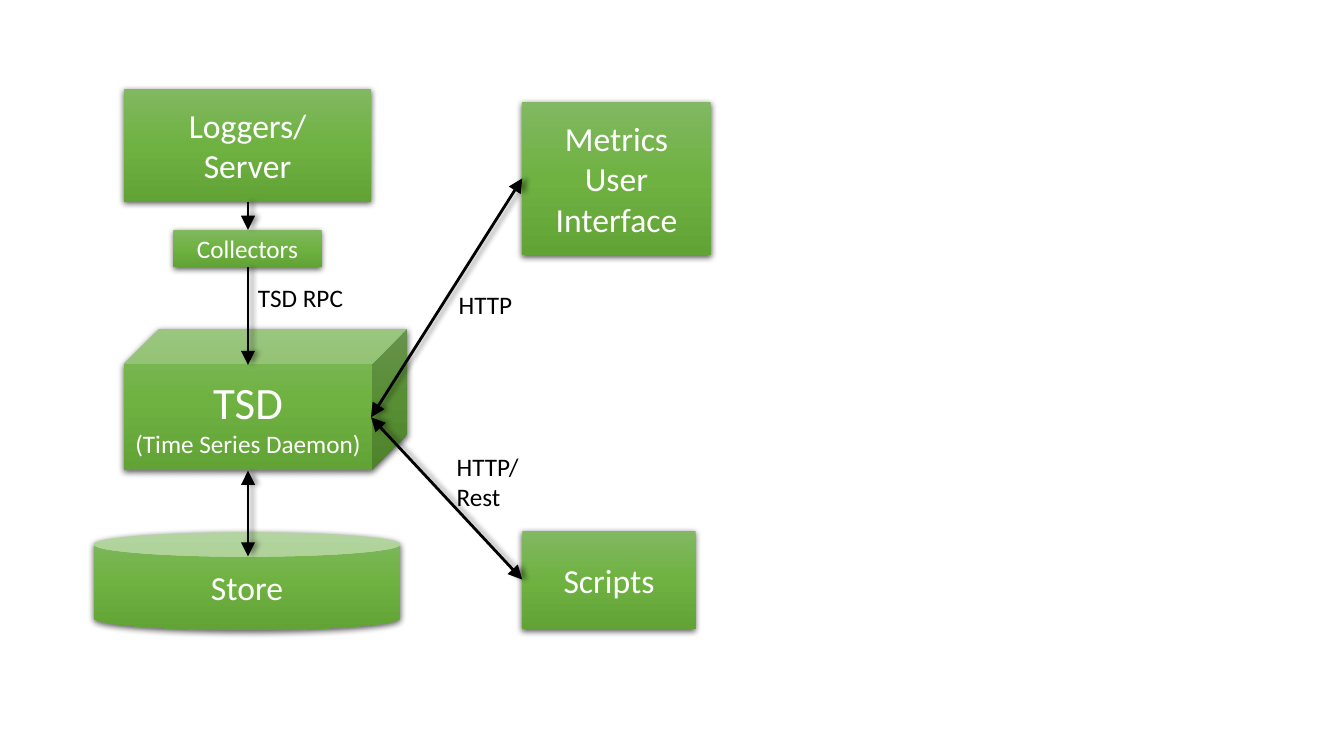
import pptx
import copy
import pptx.util
import pptx.oxml
import pptx.oxml.ns
import pptx.dml.color
import pptx.enum.text
import pptx.enum.shapes

Inches = pptx.util.Inches
Pt = pptx.util.Pt
qn = pptx.oxml.ns.qn
Kind = pptx.enum.shapes.MSO_SHAPE
Align = pptx.enum.text.PP_ALIGN
Anchor = pptx.enum.text.MSO_ANCHOR


def tint(code):
    return pptx.dml.color.RGBColor.from_string(code)


def shade(holder, alpha, blur, dist, angle):
    holder.append(pptx.oxml.parse_xml(
        f'<a:outerShdw {pptx.oxml.ns.nsdecls("a")} blurRad="{Pt(blur)}" '
        f'dist="{Pt(dist)}" dir="{angle * 60000}" rotWithShape="0">'
        f'<a:srgbClr val="000000"><a:alpha val="{alpha * 1000}"/></a:srgbClr>'
        '</a:outerShdw>'))


def write(frame, rows, color="000000", align=Align.LEFT, anchor=Anchor.TOP, font="Calibri"):
    frame.word_wrap = True
    frame.vertical_anchor = anchor
    for i, (text, size) in enumerate(rows):
        para = frame.add_paragraph() if i else frame.paragraphs[0]
        para.alignment = align
        run = para.add_run()
        run.text = text
        run.font.name = font
        run.font.size = Pt(size)
        run.font.color.rgb = tint(color)


class Board:
    greens = ((0, "81B861"), (0.5, "6FB242"), (1, "62A336"))
    ink = "000000"
    paper = "FFFFFF"

    def __init__(self, slide):
        self.slide = slide

    def node(self, kind, left, top, width, height, *rows):
        shape = self.slide.shapes.add_shape(
            kind, Inches(left), Inches(top), Inches(width), Inches(height))
        shape.fill.gradient()
        shape.fill.gradient_angle = 270
        stops = shape.element.spPr.find(qn("a:gradFill")).find(qn("a:gsLst"))
        stops.append(copy.deepcopy(stops[-1]))
        for stop, (place, code) in zip(shape.fill.gradient_stops, self.greens):
            stop.position = place
            stop.color.rgb = tint(code)
        shape.line.fill.background()
        shape.shadow.inherit = False
        shade(shape.element.spPr.find(qn("a:effectLst")), 63, 4.5, 1.5, 90)
        write(shape.text_frame, rows, color=self.paper,
              align=Align.CENTER, anchor=Anchor.MIDDLE)

    def arrow(self, start, end, both=False):
        line = self.slide.shapes.add_connector(
            pptx.enum.shapes.MSO_CONNECTOR.STRAIGHT, *map(Inches, start + end))
        line.line.width = Pt(2)
        line.line.color.rgb = tint(self.ink)
        props = line.element.spPr
        stroke = props.find(qn("a:ln"))
        for tag in ("a:headEnd", "a:tailEnd") if both else ("a:tailEnd",):
            stroke.append(pptx.oxml.parse_xml(
                f'<{tag} {pptx.oxml.ns.nsdecls("a")} type="triangle" w="lg" len="lg"/>'))
        glow = pptx.oxml.parse_xml(f'<a:effectLst {pptx.oxml.ns.nsdecls("a")}/>')
        props.append(glow)
        shade(glow, 40, 4, 3, 0)

    def label(self, left, top, width, height, text):
        box = self.slide.shapes.add_textbox(
            Inches(left), Inches(top), Inches(width), Inches(height))
        write(box.text_frame, [(text, 18)], color=self.ink)
        box.text_frame.auto_size = pptx.enum.text.MSO_AUTO_SIZE.SHAPE_TO_FIT_TEXT


deck = pptx.Presentation()
deck.slide_width = Inches(13.33)
deck.slide_height = Inches(7.5)
board = Board(deck.slides.add_slide(deck.slide_layouts[6]))

board.node(Kind.RECTANGLE, 1.23, 0.88, 2.45, 1.12, ("Loggers/", 24), ("Server", 24))
board.node(Kind.RECTANGLE, 1.72, 2.28, 1.47, 0.37, ("Collectors", 18))
board.node(Kind.CUBE, 1.23, 3.26, 2.81, 1.4, ("TSD", 32), ("(Time Series Daemon)", 18))
board.node(Kind.CAN, 0.93, 5.28, 3.04, 0.97, ("Store", 24))
board.node(Kind.RECTANGLE, 5.18, 1.01, 1.87, 1.52, ("Metrics", 24), ("User Interface", 24))
board.node(Kind.RECTANGLE, 5.18, 5.27, 1.72, 0.97, ("Scripts", 24))

axis = 2.46
hub = (3.68, 4.14)
side = 5.18
board.arrow((axis, 2.65), (axis, 3.62))
board.arrow((axis, 2), (axis, 2.28))
board.arrow((side, 5.75), hub, both=True)
board.arrow(hub, (side, 1.77), both=True)
board.arrow((axis, 4.67), (axis, 5.52), both=True)

board.label(4.45, 2.82, 0.91, 0.4, "HTTP")
board.label(4.43, 4.43, 0.91, 0.71, "HTTP/ Rest")
board.label(axis, 2.75, 1.35, 0.4, "TSD RPC")

deck.save("out.pptx")
